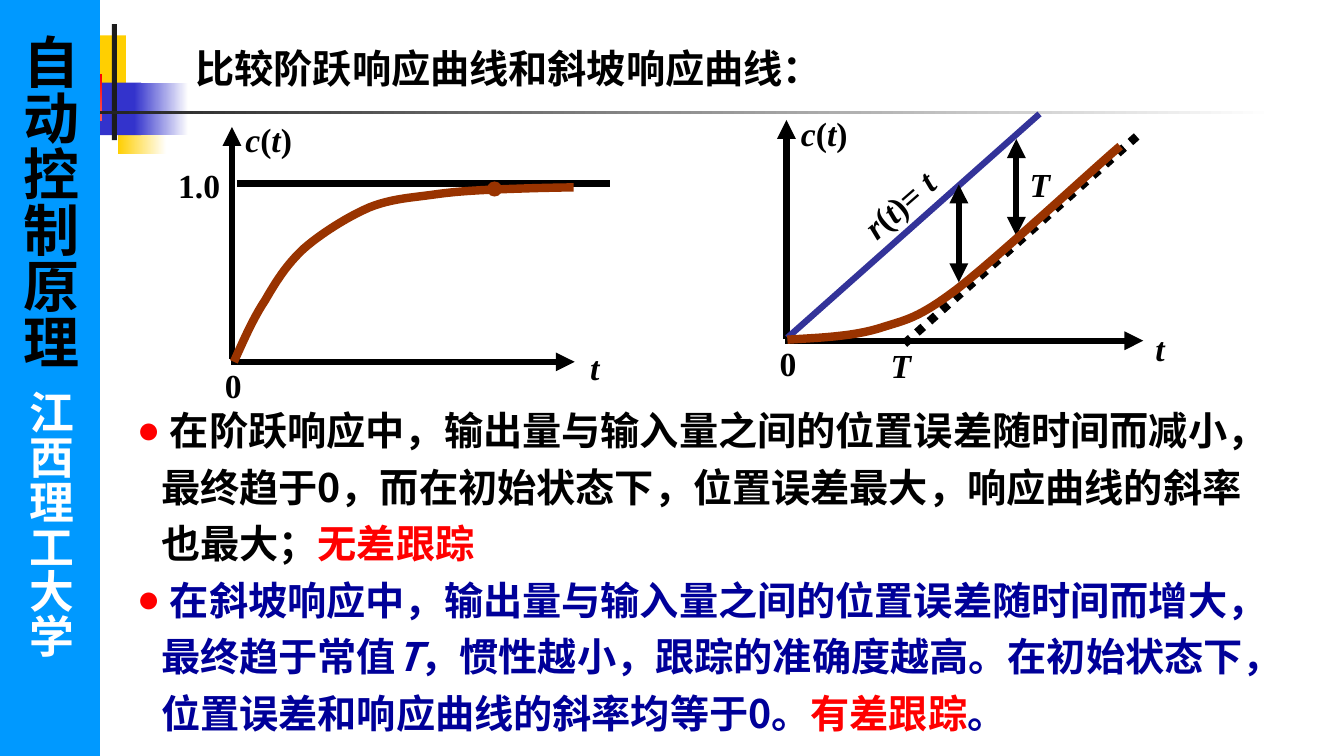
from itertools import groupby

from pptx import Presentation
from pptx.dml.color import RGBColor
from pptx.enum.dml import MSO_LINE
from pptx.enum.shapes import MSO_CONNECTOR, MSO_SHAPE
from pptx.enum.text import MSO_ANCHOR, PP_ALIGN
from pptx.oxml.ns import qn
from pptx.util import Pt
from lxml.etree import SubElement as Sub

PX = 9144  # 100 px to the inch
BLACK = RGBColor(0, 0, 0)
WHITE = RGBColor(255, 255, 255)
INK = RGBColor(0x1C, 0x1C, 0x1C)
GOLD = RGBColor(0xFF, 0xCF, 0x01)
BLUE = RGBColor(0x33, 0x33, 0xCC)
RAMP = RGBColor(0x33, 0x33, 0x99)
NAVY = RGBColor(0, 0, 0x99)
SKY = RGBColor(0, 0x99, 0xFF)
RED = RGBColor(255, 0, 0)
BROWN = RGBColor(0x99, 0x33, 0)
SANS, SERIF, LATIN = "Noto Sans CJK SC", "Times New Roman", "Arial"

# left, top, width, height, first colour, last colour, angle
DECOR = [
    (61, 35, 64, 52, GOLD, None, 0),
    (117, 101, 48, 52, GOLD, WHITE, 0),
    (79, 82, 61, 52, BLUE, None, 0),
    (133, 82, 54, 52, BLUE, WHITE, 0),
    (19, 74, 82, 46, WHITE, RED, 45),
    (111, 24, 5, 115, INK, None, 0),
    (65, 110, 1199, 3, INK, WHITE, 0),
]
HEAD = "比较阶跃响应曲线和斜坡响应曲线："
# words, colour, italic
BODY = [
    [(" 在阶跃响应中，输出量与输入量之间的位置误差随时间而减小，最终趋于0，"
      "而在初始状态下，位置误差最大，响应曲线的斜率也最大；", BLACK, False),
     ("无差跟踪", RED, False)],
    [(" 在斜坡响应中，输出量与输入量之间的位置误差随时间而增大，最终趋于常值",
      NAVY, False),
     ("T", NAVY, True),
     ("，惯性越小，跟踪的准确度越高。在初始状态下，"
      "位置误差和响应曲线的斜率均等于0。", NAVY, False),
     ("有差跟踪", RED, False), ("。", NAVY, False)],
]
# words, top, height, size, colour, font
SIDE = [("自动控制原理", 34, 345, 40, BLACK, SANS),
        ("江西理工大学", 387, 280, 32, WHITE, LATIN)]

# lines: x1, y1, x2, y2, colour, width, arrowheads, dotted
# labels: words, left, top, width, rotation
# curve: start point followed by Bezier control points
STEP = {
    "lines": [(230, 356, 230, 126, BLACK, 4.5, ["tailEnd"], False),
              (229, 359, 570, 359, BLACK, 4.5, ["tailEnd"], False),
              (235, 182, 605, 182, BLACK, 4.5, [], False)],
    "curve": [(232, 359), (242, 337), (251, 316), (263, 298),
              (274, 279), (284, 263), (301, 247),
              (318, 232), (345, 215), (366, 206),
              (388, 197), (410, 196), (431, 193),
              (452, 190), (470, 189), (493, 188),
              (516, 187), (555, 186), (569, 186)],
    "labels": [("0", 213, 357, 37, 0), ("t", 575, 339, 30, 0),
               ("c(t)", 233, 113, 67, 0), ("1.0", 163, 159, 69, 0)],
    "dots": [(483, 180, 15, 15)],
}
SLOPE = {
    "lines": [(780, 336, 780, 119, BLACK, 4.5, ["tailEnd"], False),
              (779, 338, 1134, 338, BLACK, 4.5, ["tailEnd"], False),
              (897, 341, 1130, 133, BLACK, 6, [], True),
              (781, 335, 1031, 113, RAMP, 4.5, [], False),
              (1008, 138, 1008, 234, BLACK, 4.5, ["headEnd", "tailEnd"], False),
              (951, 183, 951, 280, BLACK, 4.5, ["headEnd", "tailEnd"], False)],
    "curve": [(781, 337), (812, 335), (844, 334), (871, 326),
              (899, 317), (909, 317), (949, 287),
              (989, 256), (1084, 168), (1111, 145)],
    "labels": [("t", 1136, 320, 29, 0), ("c(t)", 784, 107, 67, 0),
               ("0", 763, 335, 37, 0), ("r(t)= t", 834, 178, 115, 318.9),
               ("T", 870, 337, 47, 0), ("T", 1008, 158, 47, 0)],
    "dots": [],
}


def emu(*nums):
    return [round(n * PX) for n in nums]


def style(run, size, color, face, slant=False):
    font = run.font
    font.size, font.bold, font.italic = Pt(size), True, slant
    font.name, font.color.rgb = face, color
    Sub(font._element, qn("a:ea")).set("typeface", SANS)


def block(home, kind, box, color, last=None, angle=0):
    """Add a lineless shape, with a gradient if a last colour is given."""
    shape = home.add_shape(kind, *emu(*box))
    shape.shadow.inherit = False
    shape.line.fill.background()
    if last is None:
        shape.fill.solid()
        shape.fill.fore_color.rgb = color
    else:
        shape.fill.gradient()
        shape.fill.gradient_angle = angle
        for stop, tone in zip(shape.fill.gradient_stops, (color, last)):
            stop.color.rgb = tone


def line(home, x1, y1, x2, y2, color, width, heads, dotted):
    link = home.add_connector(MSO_CONNECTOR.STRAIGHT, *emu(x1, y1, x2, y2))
    link.line.color.rgb, link.line.width = color, Pt(width)
    if dotted:
        link.line.dash_style = MSO_LINE.ROUND_DOT
    for end in heads:
        Sub(link.line._get_or_add_ln(), qn("a:" + end)).set("type", "triangle")
    Sub(link._element.spPr, qn("a:effectLst"))


def curve(home, knots, steps=12):
    """Trace chained cubic Bezier segments as one open outline."""
    trail = []
    for i in range(0, len(knots) - 1, 3):
        for k in range(1, steps + 1):
            t = k / steps
            u = 1 - t
            mix = (u**3, 3 * u * u * t, 3 * u * t * t, t**3)
            trail.append(emu(*(sum(m * p[axis] for m, p in zip(mix, knots[i:i + 4]))
                               for axis in (0, 1))))
    pen = home.build_freeform(*emu(*knots[0]))
    pen.add_line_segments(trail, close=False)
    shape = pen.convert_to_shape()
    shape.shadow.inherit = False
    shape.fill.background()
    shape.line.color.rgb, shape.line.width = BROWN, Pt(6)


def label(home, words, left, top, width, turn):
    """Write maths text: letters slanted, all else upright."""
    box = home.add_textbox(*emu(left, top, width, 50))
    box.rotation = turn
    box.text_frame.word_wrap = False
    para = box.text_frame.paragraphs[0]
    para.alignment = PP_ALIGN.CENTER
    for slant, chars in groupby(words, str.isalpha):
        run = para.add_run()
        run.text = "".join(chars)
        style(run, 24, BLACK, SERIF, slant)


def plot(slide, data):
    home = slide.shapes.add_group_shape().shapes
    for item in data["lines"]:
        line(home, *item)
    curve(home, data["curve"])
    for box in data["dots"]:
        block(home, MSO_SHAPE.OVAL, box, BROWN)
    for item in data["labels"]:
        label(home, *item)


def bullet(para):
    props = para._p.get_or_add_pPr()
    props.set("marL", str(24 * PX))
    props.set("indent", str(-24 * PX))
    Sub(Sub(props, qn("a:buClr")), qn("a:srgbClr")).set("val", str(RED))
    Sub(props, qn("a:buFont")).set("typeface", LATIN)
    Sub(props, qn("a:buChar")).set("char", "●")


def main():
    deck = Presentation()
    deck.slide_width, deck.slide_height = emu(1333, 750)
    slide = deck.slides.add_slide(deck.slide_layouts[6])
    shapes = slide.shapes
    for *box, color, last, angle in DECOR:
        block(shapes, MSO_SHAPE.RECTANGLE, box, color, last, angle)

    frame = shapes.add_textbox(*emu(184, 39, 645, 57)).text_frame
    frame.text = HEAD
    style(frame.paragraphs[0].runs[0], 28, BLACK, SANS)

    plot(slide, STEP)
    plot(slide, SLOPE)

    frame = shapes.add_textbox(*emu(126, 389, 1143, 342)).text_frame
    frame.word_wrap = True
    for i, parts in enumerate(BODY):
        para = frame.add_paragraph() if i else frame.paragraphs[0]
        bullet(para)
        para.line_spacing = 1.2
        for words, color, slant in parts:
            run = para.add_run()
            run.text = words
            style(run, 28, color, SANS, slant)

    block(shapes, MSO_SHAPE.RECTANGLE, (0, 0, 99, 750), SKY)
    for words, top, height, size, color, face in SIDE:
        frame = shapes.add_textbox(*emu(0, top, 99, height)).text_frame
        frame.text = words
        frame.word_wrap = True
        frame.vertical_anchor = MSO_ANCHOR.MIDDLE
        frame.margin_left = frame.margin_right = 0
        frame.margin_top = frame.margin_bottom = 0
        frame._txBody.bodyPr.set("vert", "eaVert")
        style(frame.paragraphs[0].runs[0], size, color, face)
    deck.save("out.pptx")


if __name__ == "__main__":
    main()
